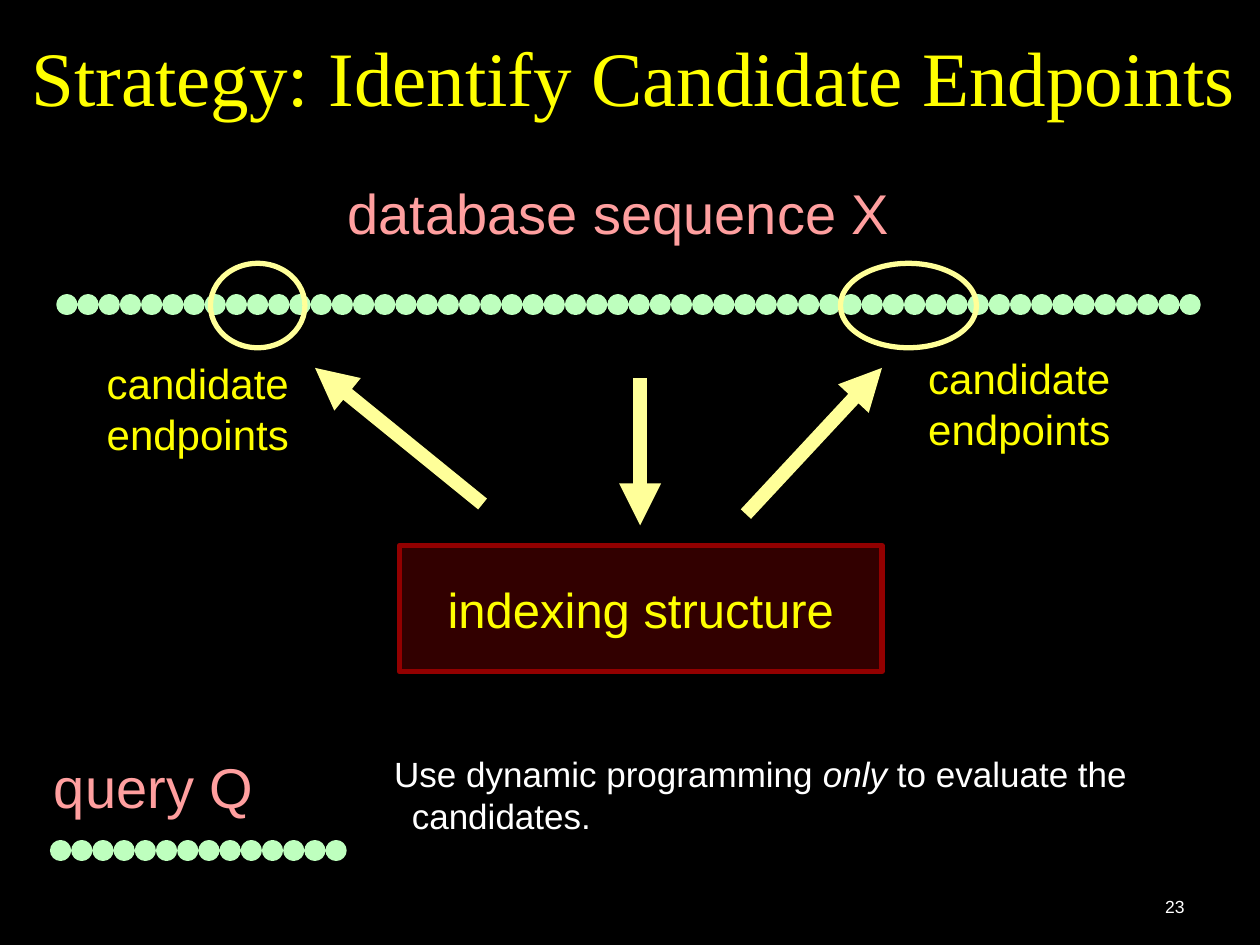
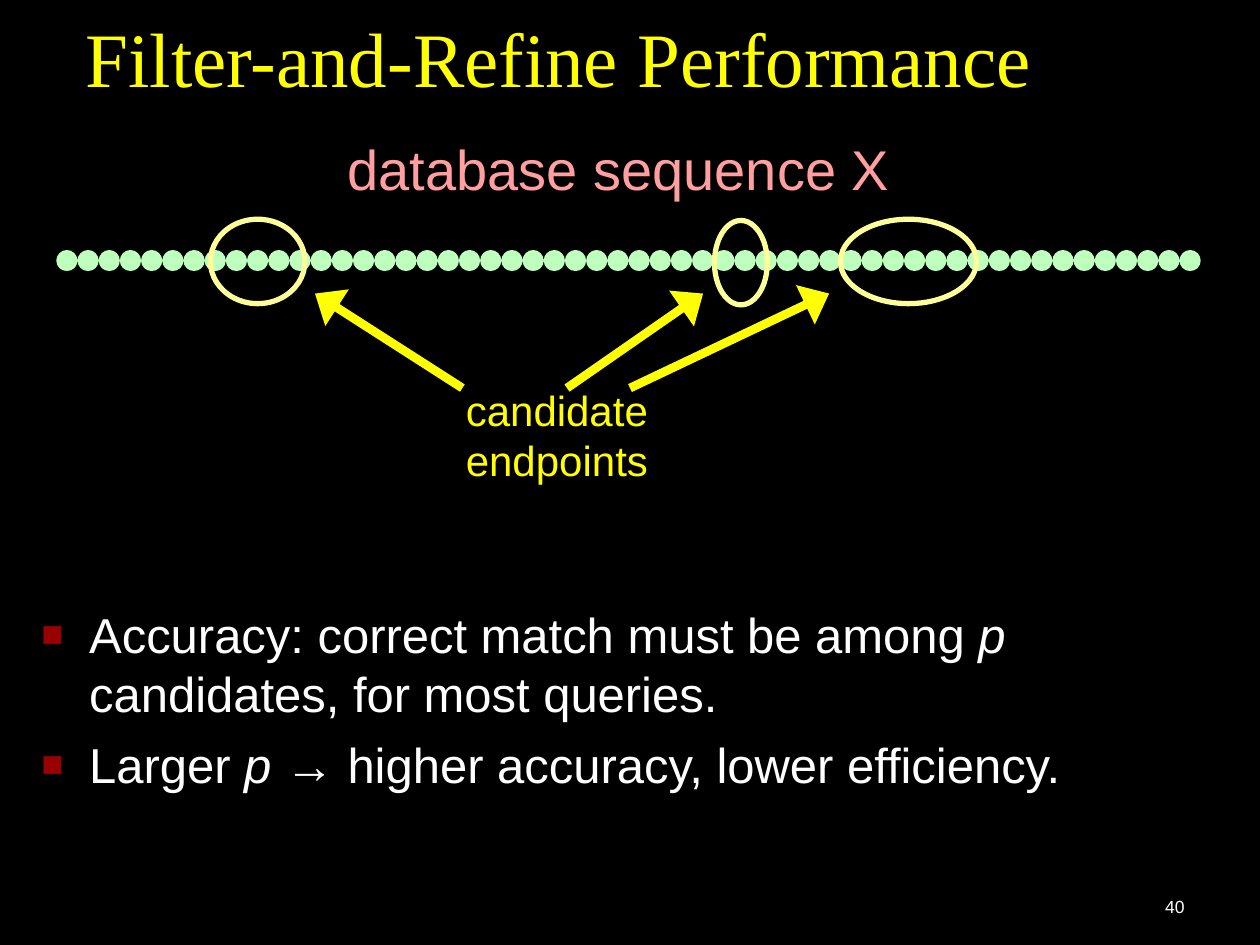
from lxml import etree
from pptx import Presentation
from pptx.dml.color import RGBColor
from pptx.enum.shapes import MSO_CONNECTOR, MSO_SHAPE
from pptx.enum.text import MSO_ANCHOR, MSO_AUTO_SIZE, PP_ALIGN
from pptx.oxml.ns import qn
from pptx.util import Pt

PX = 9144
TITLE_ONLY = 5
STRAIGHT = MSO_CONNECTOR.STRAIGHT
RECTANGLE, ELLIPSE = MSO_SHAPE.RECTANGLE, MSO_SHAPE.OVAL
LEFT, CENTER, RIGHT = PP_ALIGN.LEFT, PP_ALIGN.CENTER, PP_ALIGN.RIGHT
TOP, MIDDLE, BOTTOM = MSO_ANCHOR.TOP, MSO_ANCHOR.MIDDLE, MSO_ANCHOR.BOTTOM
NO_AUTOSIZE = MSO_AUTO_SIZE.NONE
BODY_FONT, TITLE_FONT = "Arial", "Times New Roman"
COLORS = {
    "background": "000000",
    "text": "FFFFFF",
    "accent": "FFFF00",
    "label": "FF9F9F",
    "sequence": "BEFFBE",
    "marker": "FFFF99",
    "index_fill": "320000",
    "index_line": "920000",
    "bullet": "990000",
}


def rgb(name):
    return RGBColor.from_string(COLORS[name])


def add_element(parent, tag, **attributes):
    return etree.SubElement(parent, qn(tag), attributes)


class SlideBuilder:
    def __init__(self):
        self.deck = Presentation()
        self.deck.slide_width = 1000 * PX
        self.deck.slide_height = 750 * PX
        fill = self.deck.slide_master.background.fill
        fill.solid()
        fill.fore_color.rgb = rgb("background")
        self.page = None

    def new_page(self, title, title_area, number):
        self.page = self.deck.slides.add_slide(self.deck.slide_layouts[TITLE_ONLY])
        box = self.page.shapes.title
        box.left, box.top, box.width, box.height = (length * PX for length in title_area)
        self.fill_text(box, [[(title, False)]], 44, "accent", anchor=BOTTOM, font=TITLE_FONT)
        box.text_frame.paragraphs[0].line_spacing = 0.8
        self.text((742, 683, 208, 50), [[(number, False)]], 10, "text", RIGHT, BOTTOM)

    def fill_text(self, box, paragraphs, size, color, align=LEFT, anchor=TOP,
                  font=BODY_FONT, wrap=True):
        frame = box.text_frame
        frame.word_wrap = wrap
        frame.auto_size = NO_AUTOSIZE
        frame.vertical_anchor = anchor
        frame.margin_left = frame.margin_right = 10 * PX
        frame.margin_top = frame.margin_bottom = 5 * PX
        for index, spans in enumerate(paragraphs):
            para = frame.add_paragraph() if index else frame.paragraphs[0]
            para.alignment = align
            para.space_before = Pt(0)
            for words, italic in spans:
                span = para.add_run()
                span.text = words
                span.font.name = font
                span.font.size = Pt(size)
                span.font.italic = italic
                span.font.color.rgb = rgb(color)

    def text(self, area, paragraphs, size, color, align=LEFT, anchor=TOP, wrap=True):
        box = self.page.shapes.add_textbox(*(length * PX for length in area))
        self.fill_text(box, paragraphs, size, color, align, anchor, wrap=wrap)
        return box

    def indent(self, para, margin, first_line):
        properties = para._p.get_or_add_pPr()
        properties.set("marL", str(margin * PX))
        properties.set("indent", str(first_line * PX))
        return properties

    def bullets(self, area, paragraphs, size):
        box = self.text(area, paragraphs, size, "text")
        for index, para in enumerate(box.text_frame.paragraphs):
            properties = self.indent(para, 38, -38)
            bullet_color = add_element(properties, "a:buClr")
            add_element(bullet_color, "a:srgbClr", val=COLORS["bullet"])
            add_element(properties, "a:buSzPct", val="75000")
            add_element(properties, "a:buFont", typeface=BODY_FONT)
            add_element(properties, "a:buChar", char="■")
            if index:
                para.space_before = Pt(7)

    def label(self, left, top, width, words):
        self.text((left, top, width, 64), [[(words, False)]], 32, "label", wrap=False)

    def endpoints_label(self, left, top):
        lines = [[("candidate", False)], [("endpoints", False)]]
        self.text((left, top, 164, 90), lines, 24, "accent", CENTER, wrap=False)

    def shape(self, kind, area, line, fill=None):
        shape = self.page.shapes.add_shape(kind, *(length * PX for length in area))
        shape.shadow.inherit = False
        shape.line.color.rgb = rgb(line)
        shape.line.width = Pt(3)
        if fill:
            shape.fill.solid()
            shape.fill.fore_color.rgb = rgb(fill)
        else:
            shape.fill.background()
        return shape

    def marker(self, left, top, width):
        self.shape(ELLIPSE, (left, top, width, 67), "marker")

    def line(self, start, end, color, width):
        line = self.page.shapes.add_connector(
            STRAIGHT, *(length * PX for length in start + end))
        line.line.color.rgb = rgb(color)
        line.line.width = Pt(width)
        add_element(line._element.spPr, "a:effectLst")
        return line.line._get_or_add_ln()

    def arrow(self, start, end, color, width, head_width="med"):
        outline = self.line(start, end, color, width)
        add_element(outline, "a:tailEnd", type="triangle", w=head_width, len="med")

    def sequence(self, left, right, y):
        outline = self.line((left, y), (right, y), "sequence", 12)
        outline.set("cap", "rnd")
        dashes = add_element(outline, "a:custDash")
        add_element(dashes, "a:ds", d="1000", sp="100000")
        add_element(outline, "a:round")

    def database(self, label_top):
        self.sequence(53, 950, label_top + 105)
        self.label(266, label_top, 450, "database sequence X")
        for left, width in ((167, 75), (667, 108)):
            self.marker(left, label_top + 72, width)


def build_strategy(builder):
    builder.new_page("Strategy: Identify Candidate Endpoints", (15, 23, 978, 78), "23")
    builder.database(137)
    for start, end in (((508, 300), (508, 417)),
                       ((592, 408), (700, 292)),
                       ((383, 400), (250, 292))):
        builder.arrow(start, end, "marker", 8)
    index_box = builder.shape(RECTANGLE, (317, 433, 383, 100), "index_line", "index_fill")
    builder.fill_text(index_box, [[("indexing structure", False)]], 28, "accent",
                      CENTER, MIDDLE)
    builder.endpoints_label(75, 279)
    builder.endpoints_label(727, 275)
    builder.label(33, 592, 178, "query Q")
    builder.sequence(48, 270, 675)
    advice = builder.text(
        (279, 592, 687, 83),
        [[("Use dynamic programming ", False), ("only", True),
          (" to evaluate the candidates.", False)]],
        20, "text")
    builder.indent(advice.text_frame.paragraphs[0], 38, -14)


def build_performance(builder):
    builder.new_page("Filter-and-Refine Performance", (58, 8, 892, 78), "40")
    builder.database(102)
    builder.marker(567, 175, 42)
    for start_x, end_x in ((367, 250), (450, 558), (500, 658)):
        builder.arrow((start_x, 308), (end_x, 233), "accent", 5, "lg")
    builder.endpoints_label(360, 300)
    builder.bullets(
        (23, 475, 956, 250),
        [[("Accuracy: correct match must be among ", False), ("p ", True),
          ("candidates, for most queries.", False)],
         [("Larger ", False), ("p ", True),
          ("→ higher accuracy, lower efficiency.", False)]],
        28)


def main():
    builder = SlideBuilder()
    build_strategy(builder)
    build_performance(builder)
    builder.deck.save("out.pptx")


if __name__ == "__main__":
    main()
